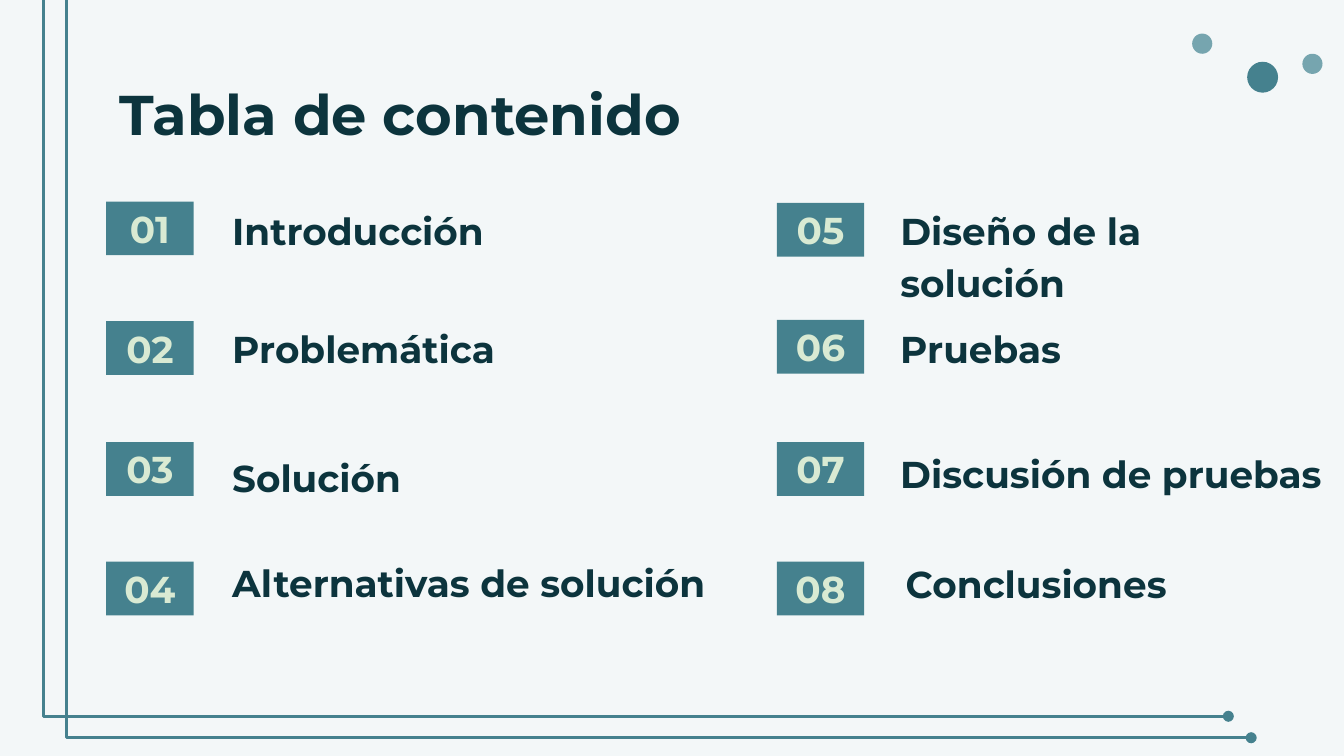
from lxml import etree
from pptx import Presentation
from pptx.dml.color import RGBColor
from pptx.enum.shapes import MSO_CONNECTOR, MSO_SHAPE
from pptx.enum.text import MSO_ANCHOR, MSO_AUTO_SIZE, PP_ALIGN
from pptx.oxml.ns import qn
from pptx.util import Inches, Pt

RECT, OVAL = MSO_SHAPE.RECTANGLE, MSO_SHAPE.OVAL
ELBOW = MSO_CONNECTOR.ELBOW
TOP, MID, BASE = MSO_ANCHOR.TOP, MSO_ANCHOR.MIDDLE, MSO_ANCHOR.BOTTOM
LEFT, CENTER = PP_ALIGN.LEFT, PP_ALIGN.CENTER
FIXED = MSO_AUTO_SIZE.NONE

THEME = {
    "font": "Montserrat", "title": 30, "item": 20,
    "back": "F3F7F8", "ink": "0C343D", "teal": "45818E",
    "pale": "76A5AF", "mint": "D9EAD3",
}

TITLE = "Tabla de contenido"
# label, badge top, label box, anchor
COLUMNS = [
    (0.79, [
        ("Introducción", 1.5, (1.63, 1.58, 4.64, 0.4), BASE),
        ("Problemática", 2.39, (1.63, 2.46, 4.64, 0.4), BASE),
        ("Solución", 3.29, (1.63, 3.42, 4.64, 0.4), BASE),
        ("Alternativas de solución", 4.18, (1.63, 4.2, 4.64, 0.4), BASE),
    ]),
    (5.78, [
        ("Diseño de la solución", 1.51, (6.6, 1.4, 3.28, 0.54), TOP),
        ("Pruebas", 2.38, (6.6, 2.46, 4.64, 0.4), BASE),
        ("Discusión de pruebas", 3.29, (6.6, 3.21, 3.4, 0.54), TOP),
        ("Conclusiones", 4.18, (6.64, 4.21, 4.64, 0.4), BASE),
    ]),
]
DOTS = [(9.28, 0.46, 0.23, "teal"), (8.87, 0.25, 0.15, "pale"),
        (9.69, 0.4, 0.15, "pale")]
FRAMES = [(0.41, -0.24, 9.14, 5.33), (0.58, -0.07, 9.31, 5.49)]
BEND = -960


def color(name):
    return RGBColor.from_string(THEME[name])


def write(shape, text, size, ink, anchor, align=LEFT, gap=1.0):
    frame = shape.text_frame
    frame.word_wrap = True
    frame.auto_size = FIXED
    frame.vertical_anchor = anchor
    frame.margin_left = frame.margin_right = Inches(0.1)
    frame.margin_top = frame.margin_bottom = Inches(0.1)
    frame.text = text
    para = frame.paragraphs[0]
    para.alignment = align
    para.line_spacing = gap
    para.space_before = Pt(0)
    para.font.name = THEME["font"]
    para.font.size = Pt(THEME[size])
    para.font.bold = True
    para.font.color.rgb = color(ink)


def block(shapes, kind, box, fill):
    shape = shapes.add_shape(kind, *map(Inches, box))
    shape.shadow.inherit = False
    shape.fill.solid()
    shape.fill.fore_color.rgb = color(fill)
    shape.line.fill.background()
    return shape


def corner(shapes, ends):
    line = shapes.add_connector(ELBOW, *map(Inches, ends))
    line.line.color.rgb = color("teal")
    line.line.width = Pt(1.5)
    props = line._element.spPr
    tail = etree.SubElement(props.find(qn("a:ln")), qn("a:tailEnd"))
    tail.set("type", "oval")
    guide = etree.SubElement(props.find(".//" + qn("a:avLst")), qn("a:gd"))
    guide.set("name", "adj1")
    guide.set("fmla", f"val {BEND}")
    etree.SubElement(props, qn("a:effectLst"))


def main():
    deck = Presentation()
    deck.slide_width = Inches(10)
    deck.slide_height = deck.slide_width * 9 // 16
    slide = deck.slides.add_slide(deck.slide_layouts[5])
    slide.background.fill.solid()
    slide.background.fill.fore_color.rgb = color("back")
    shapes = slide.shapes

    for x, y, size, fill in DOTS:
        block(shapes, OVAL, (x, y, size, size), fill)
    for ends in FRAMES:
        corner(shapes, ends)

    title = shapes.title
    title.left, title.top = Inches(0.79), Inches(0.49)
    title.width, title.height = Inches(8.43), Inches(0.63)
    write(title, TITLE, "title", "ink", TOP)

    count = 0
    for left, items in COLUMNS:
        for text, top, box, anchor in items:
            count += 1
            badge = block(shapes, RECT, (left, top, 0.65, 0.4), "teal")
            write(badge, f"{count:02}", "item", "mint", MID, CENTER)
            label = shapes.add_textbox(*map(Inches, box))
            write(label, text, "item", "ink", anchor, gap=1.15)

    deck.save("out.pptx")


if __name__ == "__main__":
    main()
